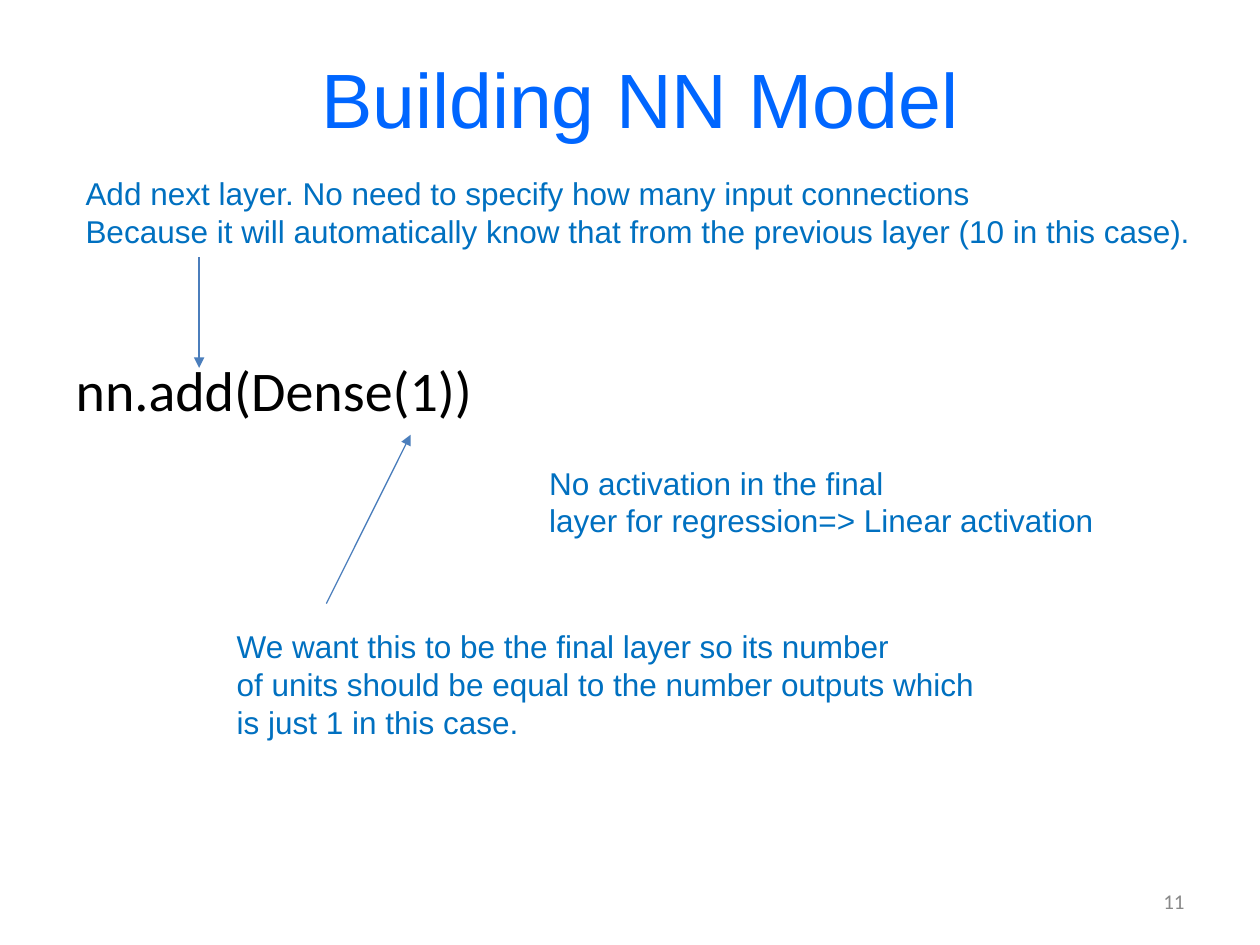
import pptx
import pptx.dml.color
import pptx.enum.shapes
import pptx.enum.text
import pptx.util
from lxml import etree
from pptx.oxml.ns import qn

Pt = pptx.util.Pt
RGBColor = pptx.dml.color.RGBColor
Align = pptx.enum.text.PP_ALIGN
Anchor = pptx.enum.text.MSO_ANCHOR
AutoSize = pptx.enum.text.MSO_AUTO_SIZE

TITLE_BLUE = RGBColor(0x00, 0x66, 0xFF)
NOTE_BLUE = RGBColor(0x00, 0x70, 0xC0)
ARROW_BLUE = RGBColor(0x4B, 0x7E, 0xBC)
BLACK = RGBColor(0, 0, 0)
GREY = RGBColor(0x89, 0x89, 0x89)

# Content: lengths in points, boxes as left, top, width, height
TITLE = "Building NN Model"
CODE = "nn.add(Dense(1))"
PAGE_NUMBER = "11"
COMMENTS = [
    ((41.8, 95.8, 653, 51.1),
     ["Add next layer. No need to specify how many input connections",
      "Because it will automatically know that from the previous layer "
      "(10 in this case)."]),
    ((128.2, 355, 443.5, 72.7),
     ["We want this to be the final layer so its number",
      "of units should be equal to the number outputs which",
      "is just 1 in this case."]),
    ((306.7, 261.4, 333.4, 51.1),
     ["No activation in the final",
      "layer for regression=> Linear activation"]),
]
ARROWS = [(113.8, 146.9, 113.8, 210.2), (186.5, 344.9, 234.7, 248.4)]


def place(shape, left, top, width, height):
    shape.left, shape.top = Pt(left), Pt(top)
    shape.width, shape.height = Pt(width), Pt(height)


def write(shape, text, font, size, color, align=Align.LEFT, anchor=Anchor.TOP,
          wrap=True, auto_size=AutoSize.NONE):
    frame = shape.text_frame
    frame.text = text
    frame.word_wrap = wrap
    frame.auto_size = auto_size
    frame.vertical_anchor = anchor
    for para in frame.paragraphs:
        para.alignment = align
        para.space_before = Pt(0)
        for span in para.runs:
            span.font.name = font
            span.font.size = Pt(size)
            span.font.color.rgb = color


def add_arrow(page, start_x, start_y, end_x, end_y):
    arrow = page.shapes.add_connector(
        pptx.enum.shapes.MSO_CONNECTOR.STRAIGHT,
        Pt(start_x), Pt(start_y), Pt(end_x), Pt(end_y))
    arrow.line.color.rgb = ARROW_BLUE
    arrow.line.width = Pt(0.75)
    properties = arrow.line._get_or_add_ln()
    etree.SubElement(properties, qn("a:tailEnd"), type="triangle")
    etree.SubElement(arrow._element.spPr, qn("a:effectLst"))


def main():
    deck = pptx.Presentation()
    deck.slide_width, deck.slide_height = Pt(720), Pt(540)
    page = deck.slides.add_slide(deck.slide_layouts[1])

    # Title
    title = page.shapes.title
    place(title, 41.8, 10.8, 648, 90)
    write(title, TITLE, "Arial", 44, TITLE_BLUE, Align.CENTER, Anchor.MIDDLE)

    # Line of code, unbulleted and lowered within the body
    body = page.placeholders[1]
    place(body, 36, 108, 648, 408.2)
    write(body, CODE, "Calibri", 32, BLACK)
    body.text_frame.margin_top = Pt(95)
    code_format = body.text_frame.paragraphs[0]._p.get_or_add_pPr()
    code_format.set("marL", "0")
    code_format.set("indent", "0")
    etree.SubElement(code_format, qn("a:buNone"))

    # Page number
    number = page.shapes.add_textbox(Pt(516.2), Pt(500.4), Pt(167.8), Pt(28.8))
    write(number, PAGE_NUMBER, "Calibri", 12, GREY, Align.RIGHT, Anchor.MIDDLE)

    # Comments and the arrows that tie them to the code
    for bounds, lines in COMMENTS:
        box = page.shapes.add_textbox(*map(Pt, bounds))
        write(box, "\n".join(lines), "Arial", 18, NOTE_BLUE, wrap=False,
              auto_size=AutoSize.SHAPE_TO_FIT_TEXT)
    for ends in ARROWS:
        add_arrow(page, *ends)

    deck.save("out.pptx")


if __name__ == "__main__":
    main()
